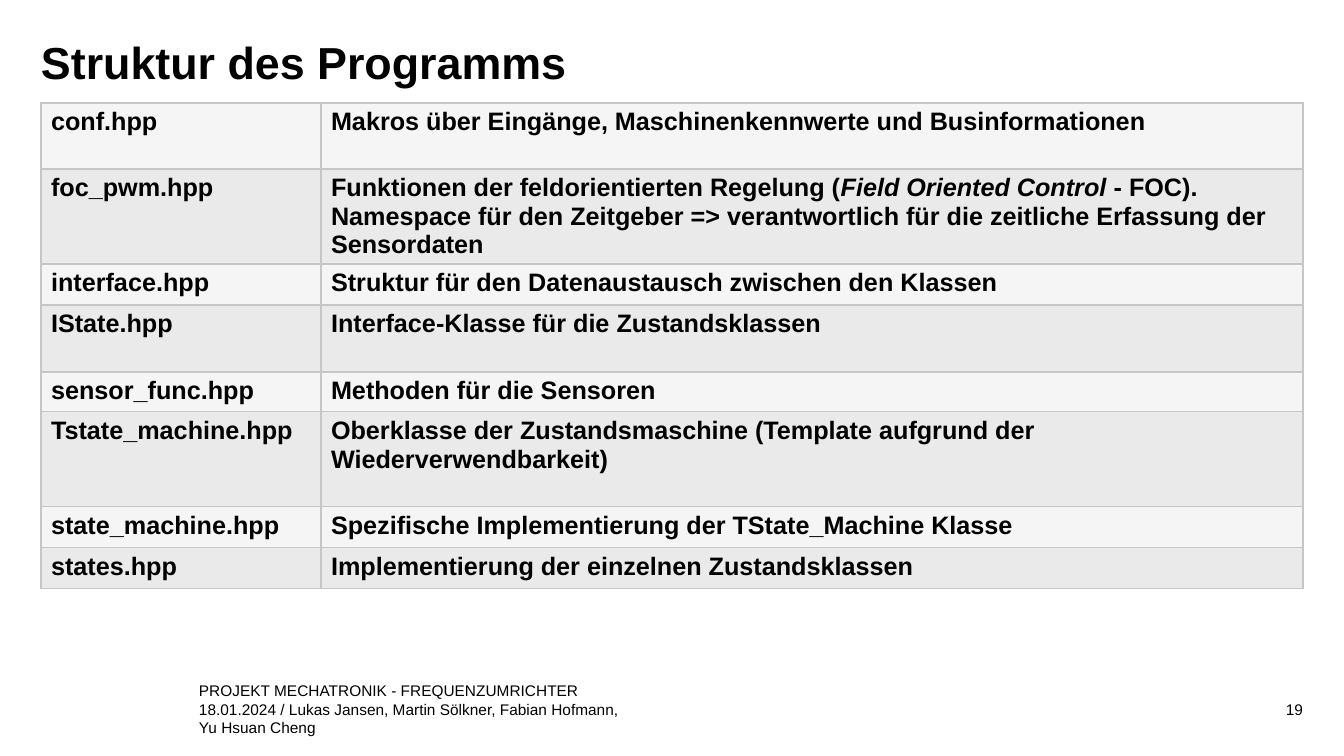
import pptx
import pptx.dml.color
import pptx.enum.text
import pptx.oxml
import pptx.oxml.ns
import pptx.util
from lxml import etree

# Content: a description is a list of paragraphs, each a list of (text, italic)
TITLE = "Struktur des Programms"
FILES = [
    ("conf.hpp", 66, [[("Makros über Eingänge, Maschinenkennwerte und Businformationen", False)]]),
    ("foc_pwm.hpp", 95, [
        [("Funktionen der feldorientierten Regelung (", False),
         ("Field Oriented Control", True), (" - FOC).", False)],
        [("Namespace für den Zeitgeber => verantwortlich für die zeitliche "
          "Erfassung der Sensordaten", False)]]),
    ("interface.hpp", 41, [[("Struktur für den Datenaustausch zwischen den Klassen", False)]]),
    ("IState.hpp", 67, [[("Interface-Klasse für die Zustandsklassen", False)]]),
    ("sensor_func.hpp", 40, [[("Methoden für die Sensoren", False)]]),
    ("Tstate_machine.hpp", 95, [
        [("Oberklasse der Zustandsmaschine (Template aufgrund der "
          "Wiederverwendbarkeit)", False)]]),
    ("state_machine.hpp", 41, [[("Spezifische Implementierung der TState_Machine Klasse", False)]]),
    ("states.hpp", 41, [[("Implementierung der einzelnen Zustandsklassen", False)]]),
]
ALIGN = pptx.enum.text.PP_ALIGN
ANCHOR = pptx.enum.text.MSO_ANCHOR
FOOTER = [  # text, box in px, alignment, anchor
    ("PROJEKT MECHATRONIK - FREQUENZUMRICHTER", (199, 675, 433, 25), ALIGN.LEFT, ANCHOR.BOTTOM),
    ("18.01.2024 / Lukas Jansen, Martin Sölkner, Fabian Hofmann, Yu Hsuan Cheng",
     (199, 700, 433, 24), ALIGN.LEFT, ANCHOR.TOP),
    ("19", (1162, 700, 141, 24), ALIGN.RIGHT, ANCHOR.TOP),
]

# Format
COLORS = {"text": "000000", "odd": "F5F5F5", "even": "EAEAEA", "border": "C6C6C6"}
TITLE_FONT = {"name": "Arial", "size": pptx.util.Pt(32), "bold": True}
TABLE_FONT = {"name": "Arial", "size": pptx.util.Pt(18), "bold": True}
FOOTER_FONT = {"name": "Arial", "size": pptx.util.Pt(11), "bold": False}
NO_INSETS = dict.fromkeys(("margin_left", "margin_top", "margin_right", "margin_bottom"), 0)
TABLE_LEFT, TABLE_TOP = 41, 103
COLUMNS = (280, 982)


def px(n):
    return round(n * 914400 / 100.8)


def rgb(name):
    return pptx.dml.color.RGBColor.from_string(COLORS[name])


def set_all(obj, values):
    for name, value in values.items():
        setattr(obj, name, value)


def add_run(p, text, font, italic=False):
    r = p.add_run()
    r.text = text
    set_all(r.font, {**font, "italic": italic})
    r.font.color.rgb = rgb("text")


def fill_cell(cell, paragraphs, color):
    tf = cell.text_frame
    for i, runs in enumerate(paragraphs):
        p = tf.add_paragraph() if i else tf.paragraphs[0]
        for text, italic in runs:
            add_run(p, text, TABLE_FONT, italic)
    # Borders come before the fill in the cell properties
    tc_pr = cell._tc.get_or_add_tcPr()
    for side in ("lnL", "lnR", "lnT", "lnB"):
        ln = etree.SubElement(tc_pr, pptx.oxml.ns.qn("a:" + side), w=str(pptx.util.Pt(1)))
        solid = etree.SubElement(ln, pptx.oxml.ns.qn("a:solidFill"))
        etree.SubElement(solid, pptx.oxml.ns.qn("a:srgbClr"), val=COLORS["border"])
    cell.fill.solid()
    cell.fill.fore_color.rgb = rgb(color)


prs = pptx.Presentation()
prs.slide_width, prs.slide_height = px(1344), px(756)
s = prs.slides.add_slide(prs.slide_layouts[5])

# Title
sp = s.shapes.title
set_all(sp, {"left": px(41), "top": px(38), "width": px(886), "height": px(72)})
tf = sp.text_frame
set_all(tf, {**NO_INSETS, "vertical_anchor": ANCHOR.TOP, "word_wrap": True,
             "auto_size": pptx.enum.text.MSO_AUTO_SIZE.NONE})
p = tf.paragraphs[0]
set_all(p, {"alignment": ALIGN.LEFT, "line_spacing": 0.97})
add_run(p, TITLE, TITLE_FONT)

# Table of source files
height = sum(h for _, h, _ in FILES)
table = s.shapes.add_table(len(FILES), len(COLUMNS), px(TABLE_LEFT), px(TABLE_TOP),
                           px(sum(COLUMNS)), px(height)).table
set_all(table, {"first_row": False, "horz_banding": False})
for column, width in zip(table.columns, COLUMNS):
    column.width = px(width)
for i, (name, row_height, description) in enumerate(FILES):
    table.rows[i].height = px(row_height)
    band = "even" if i % 2 else "odd"
    fill_cell(table.cell(i, 0), [[(name, False)]], band)
    fill_cell(table.cell(i, 1), description, band)

# Footer
for text, box, alignment, anchor in FOOTER:
    tf = s.shapes.add_textbox(*map(px, box)).text_frame
    set_all(tf, {**NO_INSETS, "word_wrap": False, "vertical_anchor": anchor})
    p = tf.paragraphs[0]
    p.alignment = alignment
    add_run(p, text, FOOTER_FONT)

prs.save("out.pptx")
